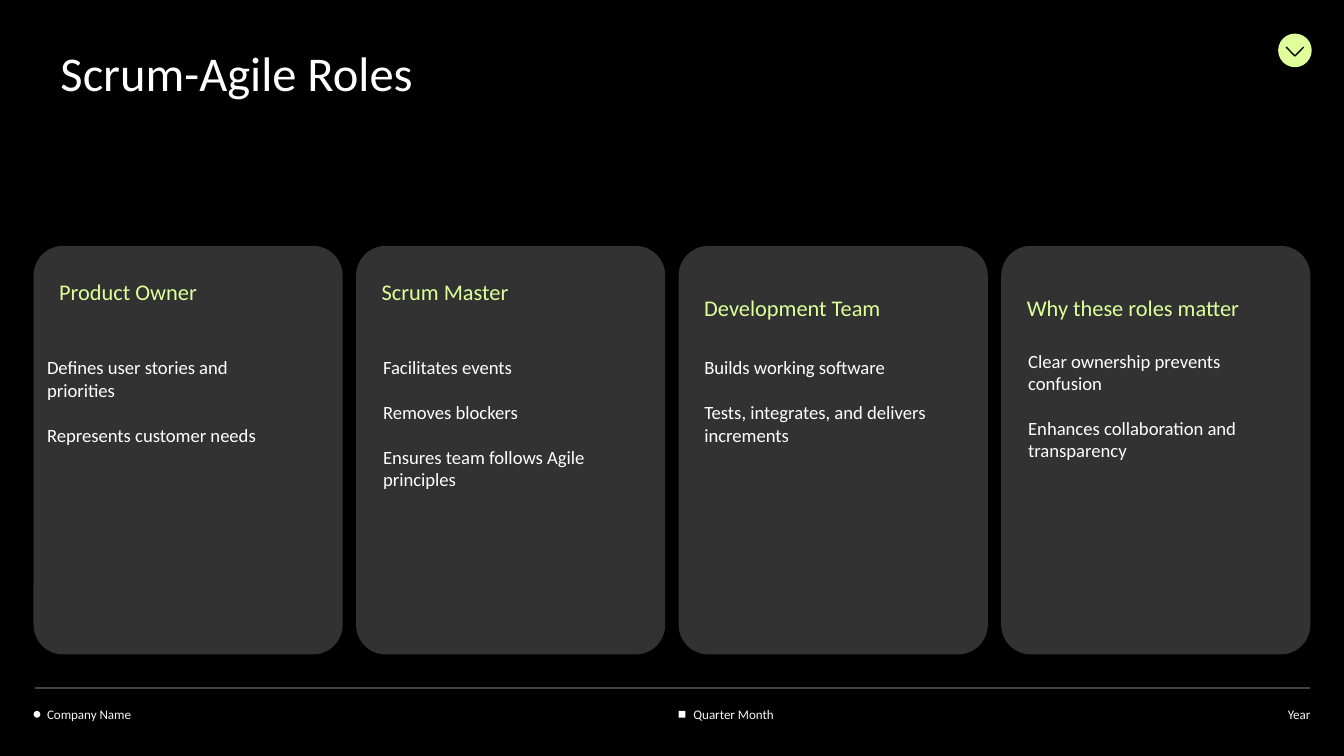
from lxml.etree import SubElement as Sub
from pptx import Presentation
from pptx.dml.color import RGBColor as Color
from pptx.enum.shapes import MSO_CONNECTOR as Line, MSO_SHAPE as Kind
from pptx.enum.text import MSO_ANCHOR as Anchor, MSO_AUTO_SIZE as Fit, PP_ALIGN as Align
from pptx.oxml.ns import qn
from pptx.util import Inches, Pt

W = 10
H = W * 9 / 16
EDGE = 0.25
WIDE = W - 2 * EDGE
GAP = 0.1
LIME, WHITE, GRAY = "DEFF9A", "FFFFFF", "323232"

# Heading, heading drop, list offset (across, down), list items
ROLES = [
    ("Product Owner", 0.19, (0.1, 0.82),
     ["Defines user stories and priorities", "Represents customer needs"]),
    ("Scrum Master", 0.19, (0.2, 0.82),
     ["Facilitates events", "Removes blockers",
      "Ensures team follows Agile principles"]),
    ("Development Team", 0.31, (0.19, 0.82),
     ["Builds working software", "Tests, integrates, and delivers increments"]),
    ("Why these roles matter", 0.31, (0.2, 0.77),
     ["Clear ownership prevents confusion",
      "Enhances collaboration and transparency"]),
]


def paint(fill, code):
    fill.solid()
    fill.fore_color.rgb = Color.from_string(code)


def place(item, x, y, w, h):
    item.left, item.top = Inches(x), Inches(y)
    item.width, item.height = Inches(w), Inches(h)


def shape(slide, kind, box, code):
    item = slide.shapes.add_shape(kind, *map(Inches, box))
    item.shadow.inherit = False
    paint(item.fill, code)
    item.line.fill.background()
    return item


def rule(slide, start, end, code):
    line = slide.shapes.add_connector(
        Line.STRAIGHT, *map(Inches, (*start, *end)))
    paint(line.line.fill, code)
    line.line.width = Pt(0.75)
    Sub(line.element.spPr, qn("a:effectLst"))


def write(item, lines, size, code, pitch=1.0, gap=0, anchor=Anchor.TOP,
          align=Align.LEFT, pads=(0, 0, 0, 0)):
    frame = item.text_frame
    frame.word_wrap = True
    frame.auto_size = Fit.NONE
    frame.vertical_anchor = anchor
    (frame.margin_left, frame.margin_top,
     frame.margin_right, frame.margin_bottom) = map(Inches, pads)
    for i, line in enumerate(lines):
        para = frame.add_paragraph() if i else frame.paragraphs[0]
        para.alignment = align
        para.line_spacing = pitch
        para.space_before = Pt(gap if i else 0)
        para.space_after = Pt(0)
        props = para._p.get_or_add_pPr()
        props.set("marL", "0")
        props.set("indent", "0")
        Sub(props, qn("a:buNone"))
        run = para.add_run()
        run.text = line
        run.font.name = "Calibri"
        run.font.size = Pt(size)
        run.font.bold = False
        run.font.color.rgb = Color.from_string(code)


def label(slide, box, text, size, code, **style):
    item = slide.shapes.add_textbox(*map(Inches, box))
    write(item, [text], size, code, anchor=Anchor.BOTTOM, **style)


def badge(slide, x, y, size):
    shape(slide, Kind.OVAL, (x, y, size, size), LIME)
    mid, top, low = x + size / 2, y + size * 0.4, y + size * 0.67
    for side in (-1, 1):
        rule(slide, (mid + side * size * 0.26, top), (mid, low), "000000")


def card(slide, body, role, x, y, w, h):
    head, drop, (across, down), items = role
    panel = shape(slide, Kind.ROUNDED_RECTANGLE, (x, y, w, h), GRAY)
    panel.adjustments[0] = 0.096
    pads = (0, 0, 0.1, 0)
    label(slide, (x + 0.19, y + drop, 1.93, 0.25), head, 12, LIME,
          pitch=0.85, pads=pads)
    # The list sits just above its panel
    panel.element.addnext(body.element)
    place(body, x + across, y + down, 1.93, 1.06)
    write(body, items, 10, WHITE, gap=12, pads=pads)


def footer(slide, x, y, w):
    rule(slide, (x + 0.01, y), (x + w, y), "434343")
    half = x + w / 2 + GAP / 2
    dot = 0.05
    shape(slide, Kind.OVAL, (x, y + 0.17, dot, dot), WHITE)
    shape(slide, Kind.RECTANGLE, (half, y + 0.17, dot, dot), WHITE)
    cells = [(x + 0.1, 2.95, "Company Name", Align.LEFT),
             (half + 0.11, 2.51, "Quarter Month", Align.LEFT),
             (x + w - 2.25, 2.25, "Year", Align.RIGHT)]
    for left, wide, text, align in cells:
        label(slide, (left, y, wide, 0.25), text, 7, "F5F5F5",
              pitch=1.15, align=align)


def main():
    deck = Presentation()
    deck.slide_width, deck.slide_height = Inches(W), Inches(H)
    # The comparison layout offers a title and four bodies
    slide = deck.slides.add_slide(deck.slide_layouts[4])
    paint(slide.background.fill, "000000")
    title, *bodies = slide.placeholders

    # Title and badge
    place(title, 0.35, 0.22, 5.95, 0.68)
    write(title, ["Scrum-Agile Roles"], 26, WHITE, pads=(0.1,) * 4)
    badge(slide, W - EDGE * 2 + 0.01, EDGE, 0.25)

    # Row of role cards
    step = (WIDE + GAP) / len(ROLES)
    for i, (body, role) in enumerate(zip(bodies, ROLES)):
        card(slide, body, role, EDGE + i * step, 1.83, step - GAP, 3.04)

    footer(slide, EDGE, 5.12, WIDE)
    deck.save("out.pptx")


if __name__ == "__main__":
    main()
